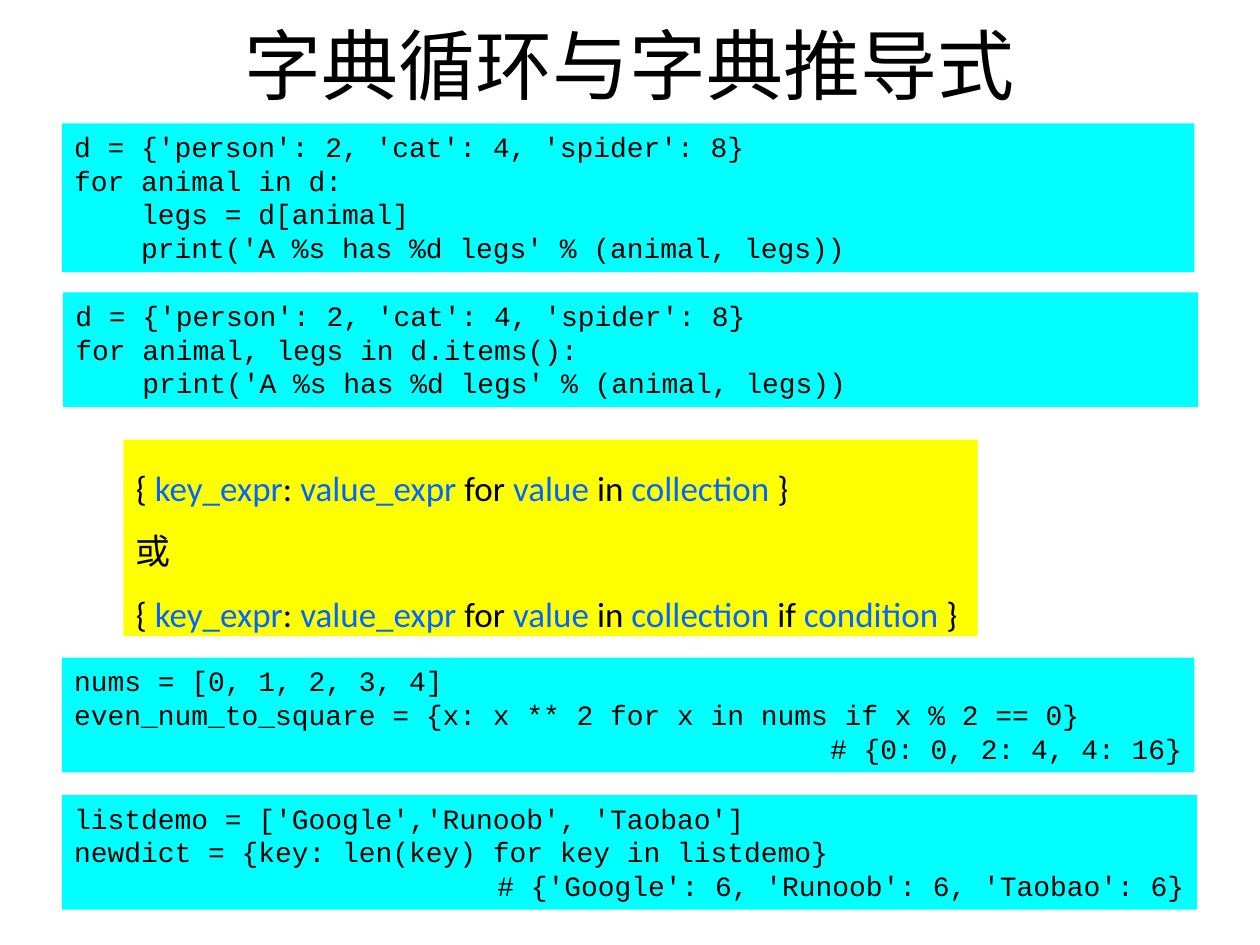
import pptx
import pptx.util
import pptx.dml.color
import pptx.enum.shapes
import pptx.enum.text

Inches = pptx.util.Inches
Align = pptx.enum.text.PP_ALIGN
Anchor = pptx.enum.text.MSO_ANCHOR
AutoSize = pptx.enum.text.MSO_AUTO_SIZE

COLORS = {
    "text": "000000",
    "term": "0066FF",
    "code": "00FFFF",
    "syntax": "FFFF00",
}

CODE_BLOCKS = [
    ((0.49, 0.98, 8.99, 1.18), [
        "d = {'person': 2, 'cat': 4, 'spider': 8}",
        "for animal in d:",
        "    legs = d[animal]",
        "    print('A %s has %d legs' % (animal, legs))",
    ]),
    ((0.5, 2.32, 9.01, 0.91), [
        "d = {'person': 2, 'cat': 4, 'spider': 8}",
        "for animal, legs in d.items():",
        "    print('A %s has %d legs' % (animal, legs))",
    ]),
    ((0.49, 5.22, 8.99, 0.91), [
        "nums = [0, 1, 2, 3, 4]",
        "even_num_to_square = {x: x ** 2 for x in nums if x % 2 == 0}",
        "# {0: 0, 2: 4, 4: 16}",
    ]),
    ((0.49, 6.31, 9.01, 0.91), [
        "listdemo = ['Google','Runoob', 'Taobao']",
        "newdict = {key: len(key) for key in listdemo}",
        "# {'Google': 6, 'Runoob': 6, 'Taobao': 6}",
    ]),
]

SYNTAX_BOX = (0.98, 3.49, 6.78, 1.56)
COMPREHENSION = [
    ("{ ", "text"), ("key_expr", "term"), (": ", "text"),
    ("value_expr ", "term"), ("for", "text"), (" value ", "term"),
    ("in", "text"), (" collection ", "term"),
]
CONDITION = [("if", "text"), (" condition ", "term")]
CLOSING = [("}", "text")]
SYNTAX_LINES = [
    COMPREHENSION + CLOSING,
    [("或", "text")],
    COMPREHENSION + CONDITION + CLOSING,
]


def rgb(name):
    return pptx.dml.color.RGBColor.from_string(COLORS[name])


def add_span(para, text, *, size, font, color="text"):
    span = para.add_run()
    span.text = text
    span.font.size = pptx.util.Pt(size)
    span.font.name = font
    span.font.color.rgb = rgb(color)


def write_lines(frame, lines, *, spacing=None, **style):
    for index, spans in enumerate(lines):
        para = frame.paragraphs[0] if index == 0 else frame.add_paragraph()
        is_result = spans[0][0].startswith("#")
        para.alignment = Align.RIGHT if is_result else Align.LEFT
        if spacing:
            para.line_spacing = spacing
        for text, color in spans:
            add_span(para, text, color=color, **style)


def add_panel(page, bounds, fill, *, wrap=True):
    box = page.shapes.add_shape(
        pptx.enum.shapes.MSO_SHAPE.RECTANGLE, *map(Inches, bounds))
    box.shadow.inherit = False
    box.fill.solid()
    box.fill.fore_color.rgb = rgb(fill)
    box.line.fill.background()
    frame = box.text_frame
    frame.word_wrap = wrap
    frame.auto_size = AutoSize.SHAPE_TO_FIT_TEXT
    frame.vertical_anchor = Anchor.TOP
    return frame


def place_title(page, bounds, text):
    title = page.shapes.title
    title.left, title.top, title.width, title.height = map(Inches, bounds)
    title.text_frame.vertical_anchor = Anchor.MIDDLE
    para = title.text_frame.paragraphs[0]
    para.alignment = Align.CENTER
    add_span(para, text, size=44, font="Arial")


def add_code(page, bounds, lines):
    frame = add_panel(page, bounds, "code")
    write_lines(frame, [[(line, "text")] for line in lines],
                size=16, font="Courier New")


def add_syntax(page, bounds, lines):
    frame = add_panel(page, bounds, "syntax", wrap=False)
    write_lines(frame, lines, spacing=1.5, size=20, font="Calibri")


def main():
    deck = pptx.Presentation()
    deck.slide_width, deck.slide_height = Inches(10), Inches(7.5)
    page = deck.slides.add_slide(deck.slide_layouts.get_by_name("Title Only"))
    place_title(page, (0.5, 0.05, 9, 0.91), "字典循环与字典推导式")
    for bounds, lines in CODE_BLOCKS:
        add_code(page, bounds, lines)
    add_syntax(page, SYNTAX_BOX, SYNTAX_LINES)
    deck.save("out.pptx")


if __name__ == "__main__":
    main()
